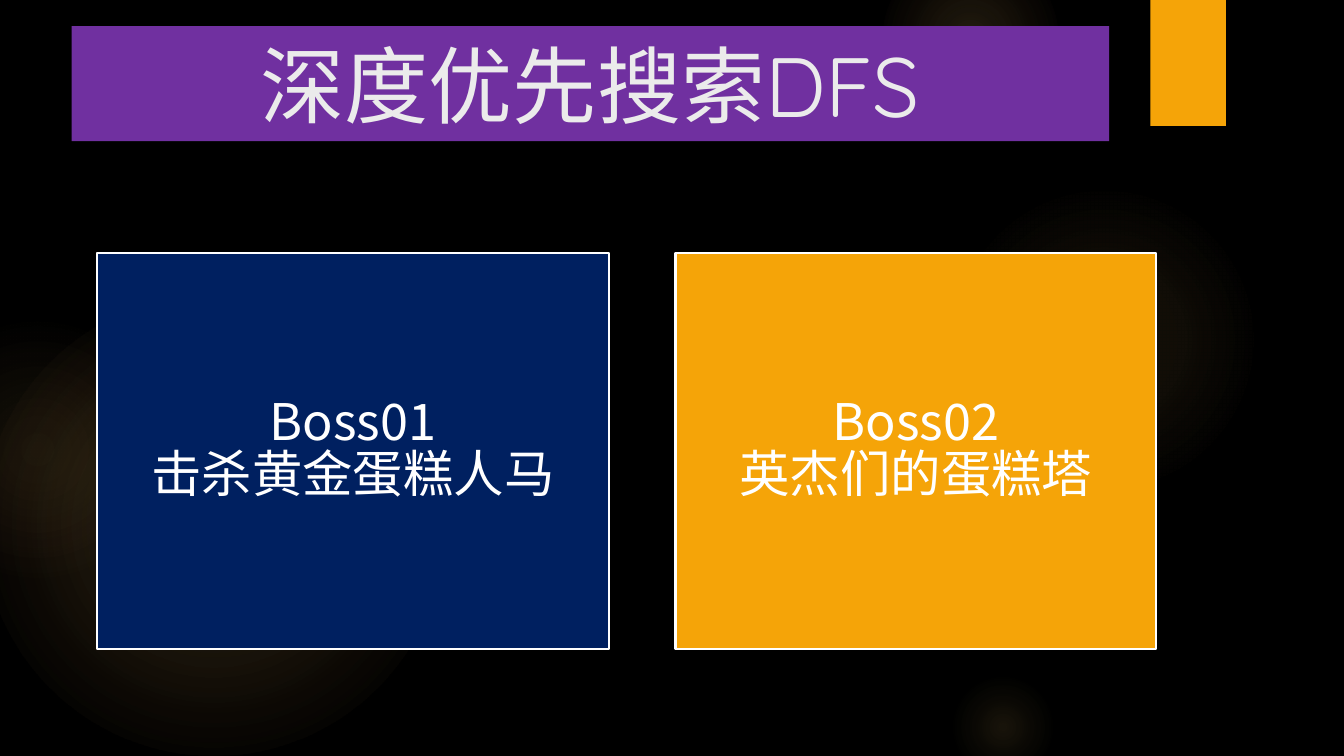
from lxml import etree
from pptx import Presentation
from pptx.dml.color import RGBColor
from pptx.enum.shapes import MSO_SHAPE as SHAPE
from pptx.enum.text import MSO_ANCHOR as ANCHOR, PP_ALIGN as ALIGN
from pptx.oxml.ns import qn
from pptx.util import Inches, Pt

GOLD, PEACH, WHITE = "FAC96A", "F59B74", "FFFFFF"
ORANGE, PURPLE, NAVY = "F5A408", "7030A0", "002060"
CJK = "Noto Sans CJK SC"


def rgb(value):
    return RGBColor.from_string(value)


def write(tf, text, font=CJK, size=36, ink=WHITE, spacing=1.0, inset=0.1):
    tf.word_wrap = True
    tf.vertical_anchor = ANCHOR.MIDDLE
    tf.margin_left = tf.margin_right = Inches(inset)
    tf.margin_top = tf.margin_bottom = Inches(inset)
    p = tf.paragraphs[0]
    p.alignment = ALIGN.CENTER
    p.line_spacing = spacing
    for i, line in enumerate(text.split("\n")):
        if i:
            p.add_line_break()
        r = p.add_run()
        r.text = line
        r.font.name = font
        r.font.size = Pt(size)
        r.font.color.rgb = rgb(ink)
        latin = r._r.rPr.find(qn("a:latin"))
        latin.addnext(etree.Element(qn("a:ea"), typeface=CJK))


class Deck:
    def __init__(self, background):
        self.prs = Presentation()
        self.prs.slide_width = Inches(13.33)
        self.prs.slide_height = Inches(7.5)
        self.s = self.prs.slides.add_slide(self.prs.slide_layouts[6])
        fill = self.s.background.fill
        fill.solid()
        fill.fore_color.rgb = rgb(background)

    def shape(self, kind, x, y, w, h):
        sp = self.s.shapes.add_shape(kind, Inches(x), Inches(y), Inches(w), Inches(h))
        sp.shadow.inherit = False
        sp.line.fill.background()
        return sp

    def glow(self, x, y, size, stops):
        sp = self.shape(SHAPE.OVAL, x, y, size, size)
        grad = etree.Element(qn("a:gradFill"), rotWithShape="1")
        stop_list = etree.SubElement(grad, qn("a:gsLst"))
        for position, color, opacity in stops:
            stop = etree.SubElement(stop_list, qn("a:gs"), pos=str(position * 1000))
            clr = etree.SubElement(stop, qn("a:srgbClr"), val=color)
            etree.SubElement(clr, qn("a:alpha"), val=str(opacity * 1000))
        circle = etree.SubElement(grad, qn("a:path"), path="circle")
        edges = {side: "50000" for side in "ltrb"}
        etree.SubElement(circle, qn("a:fillToRect"), **edges)
        sp._element.spPr.find(qn("a:prstGeom")).addnext(grad)

    def box(self, x, y, w, h, color, text="", outline=None, **style):
        sp = self.shape(SHAPE.RECTANGLE, x, y, w, h)
        sp.fill.solid()
        sp.fill.fore_color.rgb = rgb(color)
        if outline:
            sp.line.color.rgb = rgb(outline)
            sp.line.width = Pt(1.5)
        if text:
            write(sp.text_frame, text, **style)

    def card(self, x, w, color, text):
        self.box(x, 2.51, w, 3.93, color, text, outline=WHITE, spacing=0.85, inset=0.15)


def main():
    deck = Deck("000000")
    for x, y, size, inner, middle, end, rim in (
        (-0.17, 2.92, 4.58, 11, (36, 10), 75, GOLD),
        (-0.92, 3.17, 2.58, 8, (36, 5), 71, PEACH),
        (9.41, 1.83, 3.08, 7, (36, 6), 69, GOLD),
        (8.75, -0.5, 1.75, 14, (36, 7), 73, GOLD),
        (9.41, 6.67, 1.08, 10, (31, 5), 66, GOLD),
    ):
        position, opacity = middle
        deck.glow(x, y, size, [(0, GOLD, inner), (position, GOLD, opacity), (end, rim, 0)])
    deck.box(11.41, 0, 0.75, 1.25, ORANGE)
    deck.box(0.71, 0.26, 10.29, 1.14, PURPLE, "深度优先搜索DFS",
             font="Quicksand", size=60, ink="EBEBEB", inset=0.05)
    deck.card(0.96, 5.08, NAVY, "Boss01\n击杀黄金蛋糕人马")
    deck.card(6.7, 4.77, ORANGE, "Boss02\n英杰们的蛋糕塔")
    deck.prs.save("out.pptx")


if __name__ == "__main__":
    main()
